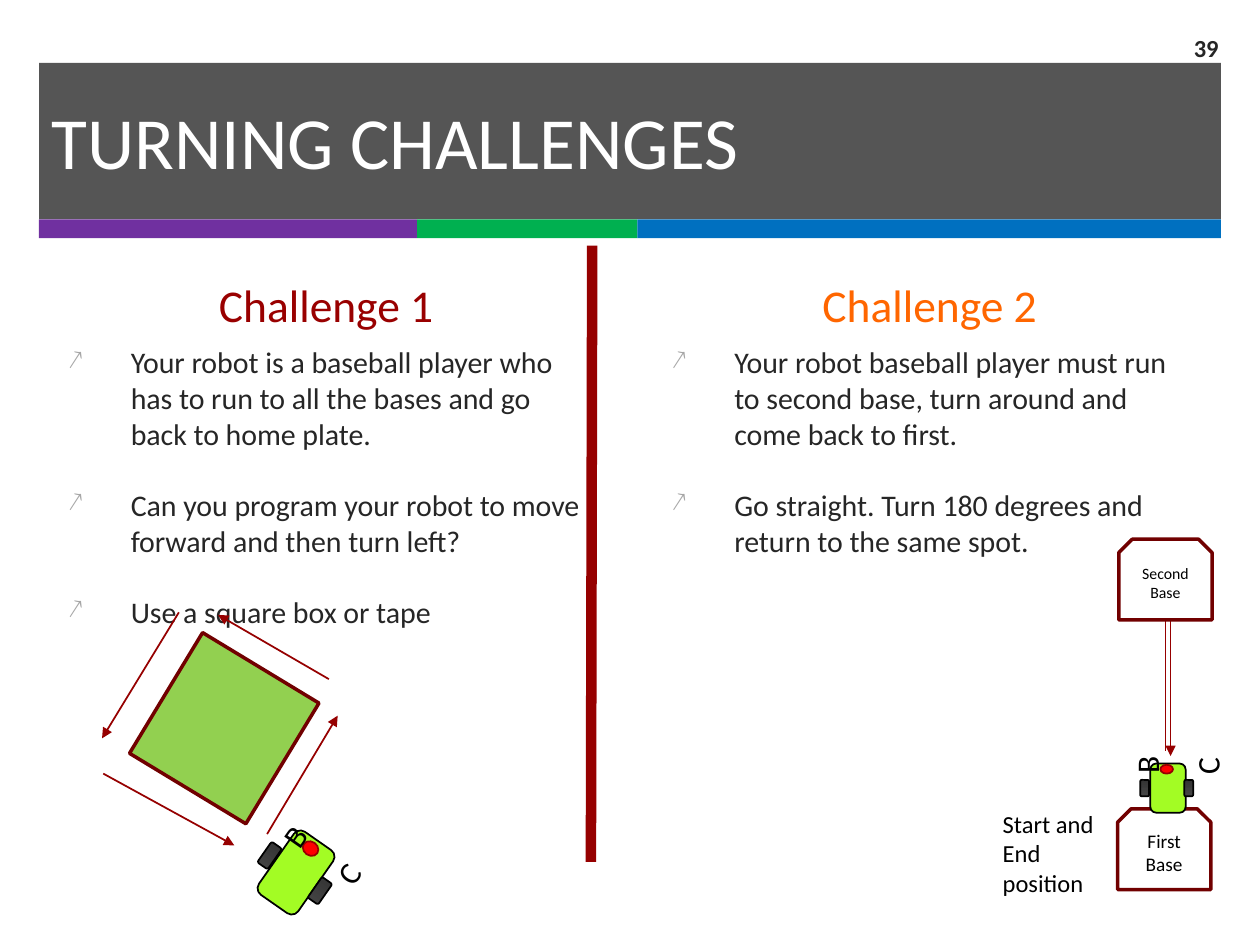
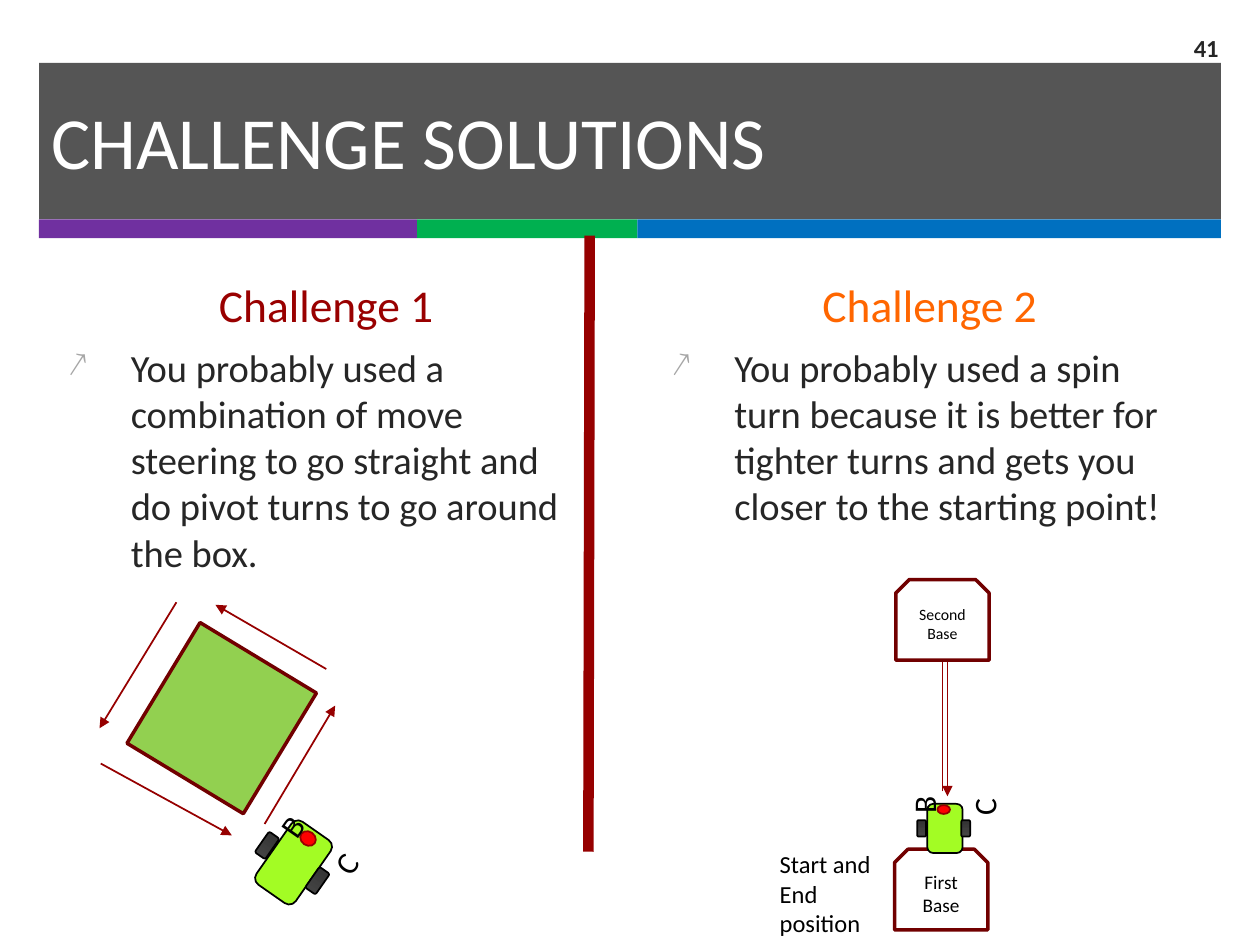
from lxml.etree import SubElement
from pptx import Presentation
from pptx.dml.color import RGBColor
from pptx.enum.shapes import MSO_CONNECTOR, MSO_SHAPE
from pptx.enum.text import MSO_ANCHOR, MSO_AUTO_SIZE, PP_ALIGN
from pptx.oxml.ns import qn
from pptx.util import Inches, Pt

BLACK = RGBColor(0x00, 0x00, 0x00)
WHITE = RGBColor(0xFF, 0xFF, 0xFF)
INK = RGBColor(0x26, 0x26, 0x26)
BAND = RGBColor(0x0D, 0x0D, 0x0D)
PURPLE = RGBColor(0x70, 0x30, 0xA0)
GREEN = RGBColor(0x00, 0xB0, 0x50)
BLUE = RGBColor(0x00, 0x70, 0xC0)
CRIMSON = RGBColor(0x99, 0x00, 0x00)
ORANGE = RGBColor(0xFF, 0x66, 0x00)
ARROW_RED = RGBColor(0x96, 0x00, 0x00)
EDGE_RED = RGBColor(0x71, 0x00, 0x00)
BOX_GREEN = RGBColor(0x92, 0xD0, 0x50)
ROBOT_GREEN = RGBColor(0xA3, 0xFC, 0x24)
SENSOR_RED = RGBColor(0xFF, 0x00, 0x00)
WHEEL_STOPS = [RGBColor(0x46, 0x46, 0x46), RGBColor(0x33, 0x33, 0x33)]
BULLET_GRAY = "A6A6A6"
FONT = "Calibri"


def write(sp, *texts, size=18, color=BLACK, bold=False, align=PP_ALIGN.LEFT,
          anchor=MSO_ANCHOR.TOP, bullet=None, gap=0, grow=False):
    tf = sp.text_frame
    tf.word_wrap = True
    tf.vertical_anchor = anchor
    if grow:
        tf.auto_size = MSO_AUTO_SIZE.SHAPE_TO_FIT_TEXT
    for i, text in enumerate(texts):
        p = tf.add_paragraph() if i else tf.paragraphs[0]
        p.alignment = align
        if i:
            p.space_before = Pt(gap)
        if bullet:
            pPr = p._p.get_or_add_pPr()
            pPr.set("marL", str(Inches(0.5)))
            pPr.set("indent", str(-Inches(0.5)))
            SubElement(SubElement(pPr, qn("a:buClr")), qn("a:srgbClr"), val=BULLET_GRAY)
            SubElement(pPr, qn("a:buSzPct"), val="90000")
            SubElement(pPr, qn("a:buChar"), char=bullet)
        r = p.add_run()
        r.text = text
        r.font.name, r.font.size, r.font.bold = FONT, Pt(size), bold
        r.font.color.rgb = color


def add_shape(s, kind, box, fill, line=None, width=1, rotation=0):
    sp = s.shapes.add_shape(kind, *map(Inches, box))
    sp.shadow.inherit = False
    sp.rotation = rotation
    if isinstance(fill, list):
        sp.fill.gradient()
        sp.fill.gradient_angle = 90
        for stop, color in zip(sp.fill.gradient_stops, fill):
            stop.color.rgb = color
    else:
        sp.fill.solid()
        sp.fill.fore_color.rgb = fill
    if line is None:
        sp.line.fill.background()
    else:
        sp.line.color.rgb = line
        sp.line.width = Pt(width)
    return sp


# Per slide: number, title, body size, bullets, divider ends, diagram offsets
SLIDES = [
    ("39", "TURNING CHALLENGES", 17.1,
     [["Your robot is a baseball player who has to run to all the bases and go back to home plate.",
       "Can you program your robot to move forward and then turn left?",
       "Use a square box or tape"],
      ["Your robot baseball player must run to second base, turn around and come back to first.",
       "Go straight. Turn 180 degrees and return to the same spot."]],
     (4.69, 6.84, 4.7, 1.95), (0, 0), (0, 0)),
    ("41", "CHALLENGE SOLUTIONS", 22,
     [["You probably used a combination of move steering to go straight and do pivot turns "
       "to go around the box."],
      ["You probably used a spin turn because it is better for tighter turns and gets you "
       "closer to the starting point!"]],
     (4.67, 6.76, 4.68, 1.87), (-0.02, -0.08), (-1.77, 0.32)),
]

COLUMNS = [("Challenge 1", CRIMSON, 0.44), ("Challenge 2", ORANGE, 5.23)]
STRIPES = [(0.31, 3, PURPLE), (3.31, 1.75, GREEN), (5.06, 4.63, BLUE)]

# Arrows: x1, y1, x2, y2
BOX_ARROWS = [(1.42, 4.86, 0.81, 5.86), (2.61, 5.39, 1.73, 4.88),
              (2.12, 6.62, 2.68, 5.68), (0.82, 6.14, 1.86, 6.71)]
BASE_ARROWS = [(9.25, 5.96, 9.25, 4.81), (9.29, 4.92, 9.29, 6)]

# Robots: rotation, body, wheels, sensor, motor labels, label rotation
BOX_ROBOT = (34.9, (2.16, 6.62, 0.38, 0.61),
             [(2.49, 6.97, 0.1, 0.2), (2.09, 6.69, 0.1, 0.2)], (2.4, 6.68, 0.13, 0.11),
             [("B", (2.1, 6.52, 0.25, 0.19)), ("C", (2.53, 6.81, 0.25, 0.19))], 304.9)
BASE_ROBOT = (0, (9.13, 6.06, 0.28, 0.39),
              [(9.4, 6.19, 0.07, 0.13), (9.05, 6.19, 0.07, 0.13)], (9.21, 6.07, 0.1, 0.07),
              [("B", (8.89, 6.05, 0.16, 0.14)), ("C", (9.37, 6.06, 0.16, 0.14))], 270)
BASES = [("First Base", 11, 8.87, 6.42), ("Second Base", 9, 8.88, 4.28)]

prs = Presentation()
prs.slide_width, prs.slide_height = Inches(10), Inches(7.5)

for number, title, body_size, bodies, divider, box_shift, base_shift in SLIDES:
    s = prs.slides.add_slide(prs.slide_layouts[6])

    # Title band and stripes
    band = add_shape(s, MSO_SHAPE.RECTANGLE, (0.31, 0.5, 9.38, 1.24), BAND)
    SubElement(band._element.spPr.find(".//" + qn("a:srgbClr")), qn("a:alpha"), val="70000")
    for x, w, color in STRIPES:
        add_shape(s, MSO_SHAPE.RECTANGLE, (x, 1.74, w, 0.15), color)
    sp = s.shapes.add_textbox(Inches(0.31), Inches(0.58), Inches(9.38), Inches(1.06))
    write(sp, title, size=42, color=WHITE, anchor=MSO_ANCHOR.MIDDLE)
    sp = s.shapes.add_textbox(Inches(9.08), Inches(0.18), Inches(0.69), Inches(0.39))
    write(sp, number, size=14, color=INK, bold=True, align=PP_ALIGN.RIGHT,
          anchor=MSO_ANCHOR.MIDDLE)

    # Two challenge columns
    for (heading, color, x), body in zip(COLUMNS, bodies):
        sp = s.shapes.add_textbox(Inches(x), Inches(1.9), Inches(4.3), Inches(0.78))
        write(sp, heading, size=26, color=color, align=PP_ALIGN.CENTER,
              anchor=MSO_ANCHOR.BOTTOM)
        sp = s.shapes.add_textbox(Inches(x), Inches(2.68), Inches(4.3), Inches(2.07))
        write(sp, *body, size=body_size, color=INK, bullet="↗", gap=20)

    # Divider and movement arrows
    lines = [(divider, (0, 0), 6)]
    lines += [(ends, box_shift, 1) for ends in BOX_ARROWS]
    lines += [(ends, base_shift, 1) for ends in BASE_ARROWS]
    for (x1, y1, x2, y2), (dx, dy), width in lines:
        c = s.shapes.add_connector(MSO_CONNECTOR.STRAIGHT, Inches(x1 + dx), Inches(y1 + dy),
                                   Inches(x2 + dx), Inches(y2 + dy))
        c.line.color.rgb = ARROW_RED
        c.line.width = Pt(width)
        if width == 1:
            SubElement(c._element.spPr.find(qn("a:ln")), qn("a:tailEnd"), type="triangle")
        SubElement(c._element.spPr, qn("a:effectLst"))

    # Square box
    dx, dy = box_shift
    add_shape(s, MSO_SHAPE.RECTANGLE, (1.22 + dx, 5.24 + dy, 1.12, 1.08), BOX_GREEN,
              EDGE_RED, 2, 301.2)

    # Bases
    dx, dy = base_shift
    for name, size, x, y in BASES:
        sp = add_shape(s, MSO_SHAPE.SNIP_2_SAME_RECTANGLE, (x + dx, y + dy, 0.74, 0.64),
                       WHITE, EDGE_RED, 2)
        write(sp, name, size=size, align=PP_ALIGN.CENTER, anchor=MSO_ANCHOR.MIDDLE)
    sp = s.shapes.add_textbox(Inches(7.86 + dx), Inches(6.37 + dy), Inches(1.04), Inches(0.81))
    write(sp, "Start and End position", size=14, grow=True)

    # Robots
    for robot, (dx, dy) in ((BOX_ROBOT, box_shift), (BASE_ROBOT, base_shift)):
        turn, body, wheels, sensor, labels, label_turn = robot
        parts = [(MSO_SHAPE.ROUNDED_RECTANGLE, body, ROBOT_GREEN, BLACK)]
        parts += [(MSO_SHAPE.ROUNDED_RECTANGLE, wheel, WHEEL_STOPS, BLACK) for wheel in wheels]
        parts += [(MSO_SHAPE.OVAL, sensor, SENSOR_RED, ARROW_RED)]
        for kind, (x, y, w, h), fill, edge in parts:
            add_shape(s, kind, (x + dx, y + dy, w, h), fill, edge, 1, turn)
        for letter, (x, y, w, h) in labels:
            sp = s.shapes.add_textbox(Inches(x + dx), Inches(y + dy), Inches(w), Inches(h))
            sp.rotation = label_turn
            write(sp, letter, grow=True)

prs.save("out.pptx")
